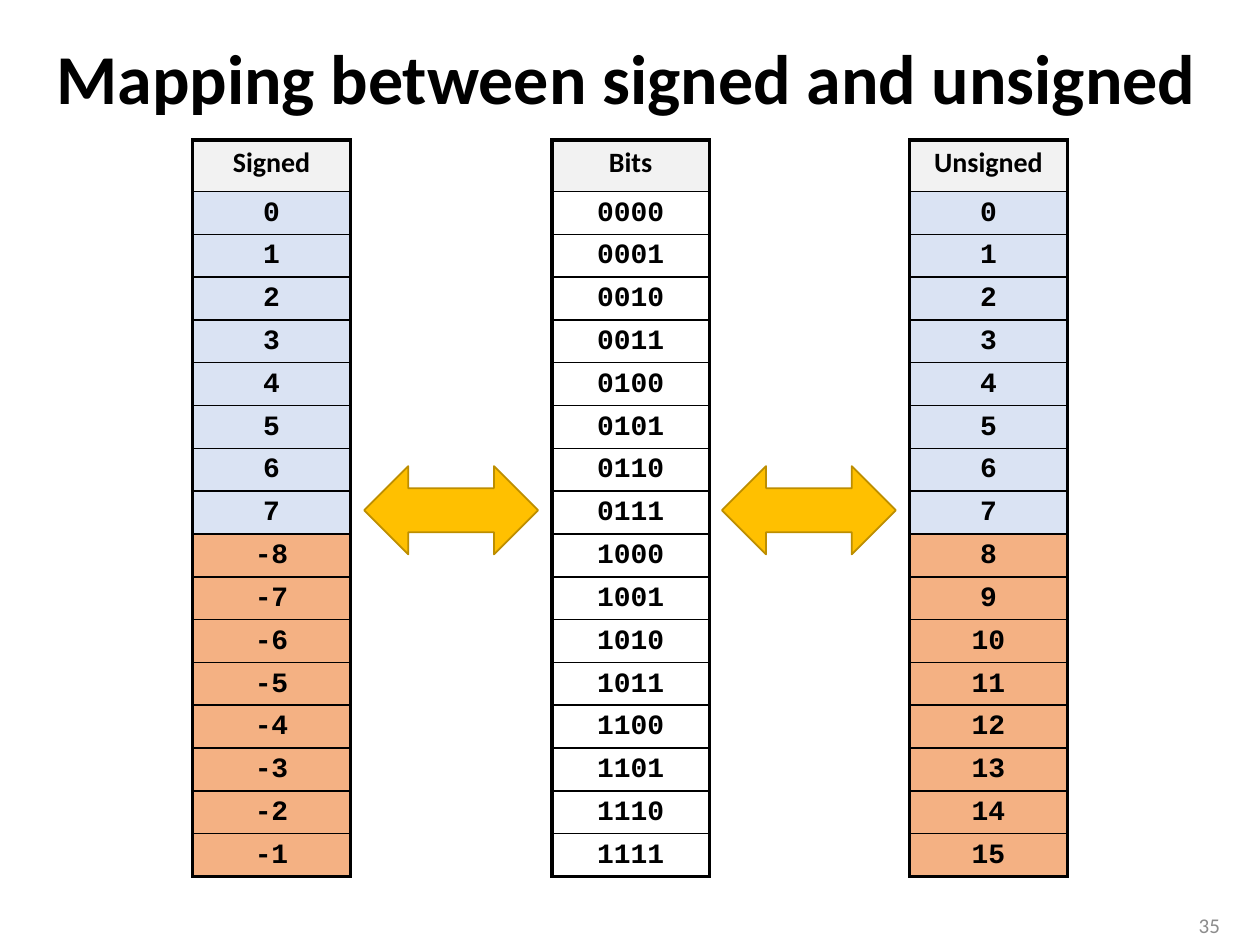
from pptx import Presentation, util as u
from pptx.dml.color import RGBColor
from pptx.enum import shapes, text
from pptx.oxml import parse_xml
from pptx.oxml.ns import nsdecls

PX = 9144
BLACK = RGBColor(0, 0, 0)
WHITE = RGBColor(0xFF, 0xFF, 0xFF)
GRAY = RGBColor(0x8C, 0x8C, 0x8C)
HEAD = RGBColor(0xF2, 0xF2, 0xF2)
BLUE = RGBColor(0xDA, 0xE3, 0xF3)
PEACH = RGBColor(0xF4, 0xB1, 0x83)
GOLD = RGBColor(0xFF, 0xC0, 0x00)
BROWN = RGBColor(0xBD, 0x8E, 0x00)
LEFT, MID, RIGHT = text.PP_ALIGN.LEFT, text.PP_ALIGN.CENTER, text.PP_ALIGN.RIGHT


def style(para, words, align, space, **form):
    run = para.add_run()
    run.text = words
    para.alignment = align
    para.line_spacing = space
    run.font.color.rgb = form.pop("color")
    for key, val in form.items():
        setattr(run.font, key, val)


def border(cell, side, width):
    cell._tc.get_or_add_tcPr().append(parse_xml(
        f'<a:ln{side} {nsdecls("a")} w="{u.Pt(width)}"><a:solidFill>'
        f'<a:srgbClr val="{BLACK}"/></a:solidFill></a:ln{side}>'))


deck = Presentation()
deck.slide_width, deck.slide_height = 1000 * PX, 750 * PX
slide = deck.slides.add_slide(deck.slide_layouts[6])

labels = [
    ((35, 19, 929, 92), "Mapping between signed and unsigned", LEFT, 0.9,
     dict(size=u.Pt(40), bold=True, color=BLACK)),
    ((927, 719, 51, 31), "35", RIGHT, 1.0,
     dict(size=u.Pt(12), bold=False, color=GRAY)),
]
for place, words, align, space, form in labels:
    box = slide.shapes.add_textbox(*(n * PX for n in place))
    frame = box.text_frame
    frame.word_wrap = True
    frame.vertical_anchor = text.MSO_ANCHOR.MIDDLE
    style(frame.paragraphs[0], words, align, space, name="Calibri", **form)

halves = [BLUE] * 8 + [PEACH] * 8
signed = [*range(8), *range(-8, 0)]
bits = [f"{n:04b}" for n in range(16)]
tables = [
    (153, "Signed", signed, halves),
    (722, "Unsigned", range(16), halves),
    (438, "Bits", bits, [WHITE] * 16),
]
inset = dict(margin_left=5 * PX, margin_right=5 * PX,
             margin_top=5 * PX, margin_bottom=3 * PX)

for left, title, values, fills in tables:
    count = len(values) + 1
    grid = slide.shapes.add_table(
        count, 1, left * PX, 111 * PX, 125 * PX, (41 + 34 * 16) * PX).table
    grid.first_row = grid.horz_banding = False
    for row, (value, fill) in enumerate(zip([title, *values], [HEAD, *fills])):
        grid.rows[row].height = (34 if row else 41) * PX
        cell = grid.cell(row, 0)
        for key, val in inset.items():
            setattr(cell, key, val)
        style(cell.text_frame.paragraphs[0], str(value), MID, 0.95,
              name="Courier New" if row else "Calibri",
              size=u.Pt(16), bold=True, color=BLACK)
        border(cell, "L", 2.25)
        border(cell, "R", 2.25)
        border(cell, "T", 1 if row else 2.25)
        border(cell, "B", 1 if row < count - 1 else 2.25)
        cell.fill.solid()
        cell.fill.fore_color.rgb = fill

for left in (289, 573):
    arrow = slide.shapes.add_shape(
        shapes.MSO_SHAPE.LEFT_RIGHT_ARROW,
        left * PX, 370 * PX, 138 * PX, 70 * PX)
    arrow.shadow.inherit = False
    arrow.fill.solid()
    arrow.fill.fore_color.rgb = GOLD
    arrow.line.color.rgb = BROWN
    arrow.line.width = u.Pt(1)

deck.save("out.pptx")
